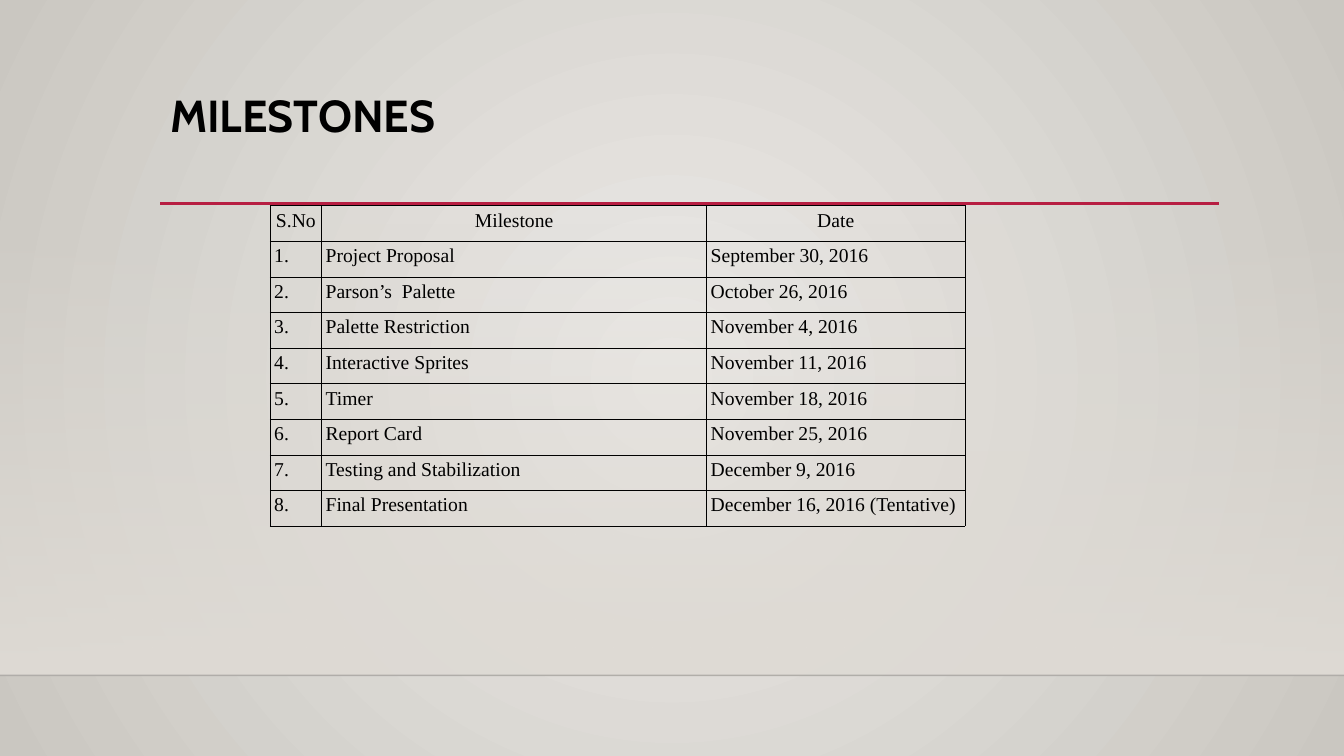
import pptx
import pptx.dml.color
import pptx.enum.shapes
import pptx.enum.text
import pptx.oxml
import pptx.oxml.ns
import pptx.util
import lxml.etree

Inches = pptx.util.Inches
Pt = pptx.util.Pt
qn = pptx.oxml.ns.qn
ALIGN = pptx.enum.text.PP_ALIGN

WIDE, HIGH = 13.33, 7.5
FLOOR = 6.7
HEAD = ("S.No", "Milestone", "Date")
STEPS = (
    ("Project Proposal", "September 30, 2016"),
    ("Parson’s  Palette", "October 26, 2016"),
    ("Palette Restriction", "November 4, 2016"),
    ("Interactive Sprites", "November 11, 2016"),
    ("Timer", "November 18, 2016"),
    ("Report Card", "November 25, 2016"),
    ("Testing and Stabilization", "December 9, 2016"),
    ("Final Presentation", "December 16, 2016 (Tentative)"),
)


def shade(code):
    return pptx.dml.color.RGBColor.from_string(code)


def add_tag(parent, tag, **attrs):
    return lxml.etree.SubElement(parent, qn(tag), attrs)


def blend(fill, first, last):
    fill.gradient()
    for stop, code in zip(fill.gradient_stops, (first, last)):
        stop.color.rgb = shade(code)
    for stop, place in zip(fill.gradient_stops, (0, 1)):
        stop.position = place


def fade(node, alpha):
    add_tag(node.find(".//" + qn("a:srgbClr")), "a:alpha", val=str(alpha * 1000))


def style(para, font, size, bold=False):
    for run in para.runs:
        run.font.name = font
        run.font.size = Pt(size)
        run.font.bold = bold
        run.font.color.rgb = shade("000000")


def add_line(slide, left, top, width, code, weight):
    line = slide.shapes.add_connector(
        pptx.enum.shapes.MSO_CONNECTOR.STRAIGHT,
        Inches(left), Inches(top), Inches(left + width), Inches(top))
    line.line.color.rgb = shade(code)
    line.line.width = Pt(weight)
    add_tag(line.element.spPr, "a:effectLst")
    return line


def add_back(slide, left, top, width, height):
    blend(slide.background.fill, "ECEAE7", "CAC7C1")
    grad = slide.element.find(".//" + qn("a:gradFill"))
    grad.remove(grad.find(qn("a:lin")))
    ring = add_tag(grad, "a:path", path="circle")
    add_tag(ring, "a:fillToRect", l="50000", t="50000", r="50000", b="50000")

    wall = slide.shapes.add_shape(
        pptx.enum.shapes.MSO_SHAPE.RECTANGLE,
        Inches(left), Inches(top), Inches(width), Inches(height))
    wall.shadow.inherit = False
    wall.line.fill.background()
    blend(wall.fill, "DFDBD5", "DFDBD5")
    wall.fill.gradient_angle = 270
    fade(wall.element.spPr, 0)

    edge = add_line(slide, left, top + height, width, "000001", 1)
    fade(edge.element.spPr, 20)


def add_title(slide, left, top, width, height):
    add_line(slide, left, top + height - 0.01, width, "B71E42", 2.5)
    box = slide.shapes.add_textbox(
        Inches(left), Inches(top), Inches(width), Inches(height))
    frame = box.text_frame
    frame.word_wrap = True
    frame.vertical_anchor = pptx.enum.text.MSO_ANCHOR.TOP
    frame.text = "MILESTONES"
    para = frame.paragraphs[0]
    para.line_spacing = 0.9
    style(para, "Cabin", 32, True)


def add_edges(cell):
    props = cell._tc.get_or_add_tcPr()
    for side in ("a:lnL", "a:lnR", "a:lnT", "a:lnB"):
        edge = add_tag(props, side, w=str(Pt(0.5)))
        add_tag(add_tag(edge, "a:solidFill"), "a:srgbClr", val="000000")


def add_cell(cell, text, align):
    add_edges(cell)
    cell.fill.background()
    cell.margin_left = cell.margin_right = Inches(0.04)
    cell.margin_top = cell.margin_bottom = Inches(0.04)
    cell.text_frame.text = text
    para = cell.text_frame.paragraphs[0]
    para.alignment = align
    style(para, "Times New Roman", 14)


def add_plan(slide, left, top, width, height):
    rows = [HEAD] + [(f"{num}.", *step) for num, step in enumerate(STEPS, 1)]
    table = slide.shapes.add_table(
        len(rows), len(HEAD),
        Inches(left), Inches(top), Inches(width), Inches(height)).table
    table.first_row = False
    table.horz_banding = False
    for col, size in zip(table.columns, (0.51, 3.82, width - 4.33)):
        col.width = Inches(size)
    for r, row in enumerate(rows):
        table.rows[r].height = Inches(height / len(rows))
        for c, text in enumerate(row):
            add_cell(table.cell(r, c), text, ALIGN.LEFT if r else ALIGN.CENTER)


def main():
    deck = pptx.Presentation()
    deck.slide_width = Inches(WIDE)
    deck.slide_height = Inches(HIGH)
    slide = deck.slides.add_slide(deck.slide_layouts[6])
    add_back(slide, 0, 2.21, WIDE, FLOOR - 2.21)
    add_title(slide, 1.59, 0.88, 10.5, 1.15)
    add_plan(slide, 2.68, 2.04, 6.89, 3.18)
    deck.save("out.pptx")


if __name__ == "__main__":
    main()
